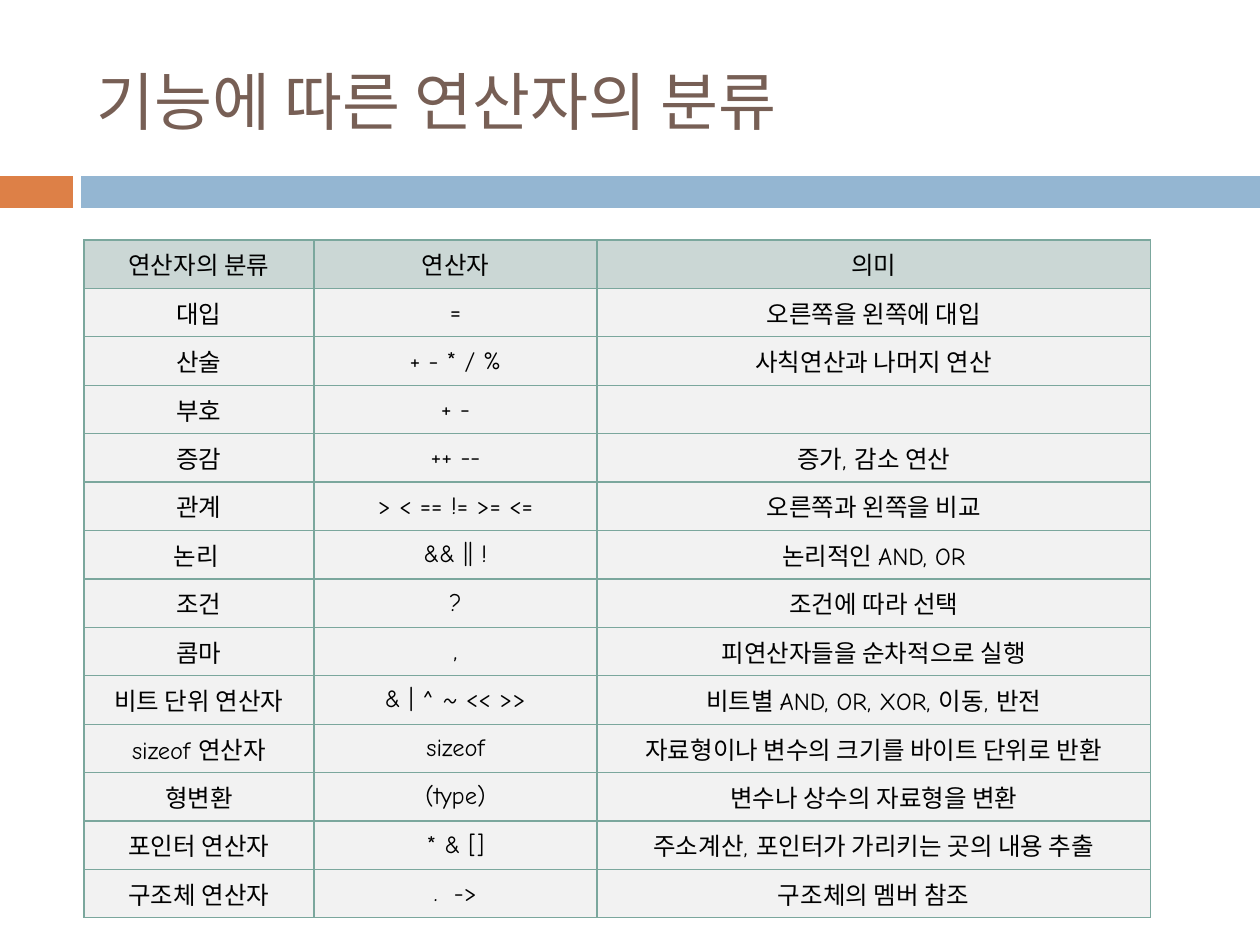
from lxml import etree
from pptx import Presentation
from pptx.dml.color import RGBColor
from pptx.enum import shapes, text
from pptx.oxml.ns import qn
from pptx.util import Emu, Pt

PX = 914400 // 126
TITLE = "기능에 따른 연산자의 분류"
BARS = [(0, 73, "DD8047"), (81, 1179, "94B6D2")]
COLS = [230, 283, 554]
LEFT, TOP, HIGH = 84, 240, 678
HEAD, BODY, EDGE = "CBD7D5", "F2F2F2", "7BA79D"
ROWS = [
    ("연산자의 분류", "연산자", "의미"),
    ("대입", "=", "오른쪽을 왼쪽에 대입"),
    ("산술", "+ - * / %", "사칙연산과 나머지 연산"),
    ("부호", "+ -", ""),
    ("증감", "++ --", "증가, 감소 연산"),
    ("관계", "> < == != >= <=", "오른쪽과 왼쪽을 비교"),
    ("논리 ", "&& || !", "논리적인 AND, OR"),
    ("조건", "?", "조건에 따라 선택"),
    ("콤마", ",", "피연산자들을 순차적으로 실행"),
    ("비트 단위 연산자", "& | ^ ~ << >>", "비트별 AND, OR, XOR, 이동, 반전"),
    ("sizeof 연산자", "sizeof", "자료형이나 변수의 크기를 바이트 단위로 반환"),
    ("형변환", "(type)", "변수나 상수의 자료형을 변환"),
    ("포인터 연산자", "* & []", "주소계산, 포인터가 가리키는 곳의 내용 추출"),
    ("구조체 연산자", ".  ->", "구조체의 멤버 참조"),
]


def px(n):
    return Emu(round(n * PX))


def color(code):
    return RGBColor.from_string(code)


def paint(fill, code):
    fill.solid()
    fill.fore_color.rgb = color(code)


def write(para, words, size, face, code):
    run = para.add_run()
    run.text = words
    run.font.size = Pt(size)
    run.font.name = face
    run.font.color.rgb = color(code)


def border(cell):
    props = cell._tc.get_or_add_tcPr()
    for spot, side in enumerate(("lnL", "lnR", "lnT", "lnB")):
        line = etree.Element(qn("a:" + side), w=str(Pt(0.79)))
        fill = etree.SubElement(line, qn("a:solidFill"))
        etree.SubElement(fill, qn("a:srgbClr"), val=EDGE)
        props.insert(spot, line)


def fill_cell(cell, words, back):
    paint(cell.fill, back)
    border(cell)
    cell.vertical_anchor = text.MSO_ANCHOR.MIDDLE
    para = cell.text_frame.paragraphs[0]
    para.alignment = text.PP_ALIGN.CENTER
    props = para._p.get_or_add_pPr()
    props.set("marL", str(px(48)))
    props.set("indent", str(px(-48)))
    if words:
        write(para, words, 14, "Comic Neue", "000000")
    else:
        etree.SubElement(para._p, qn("a:endParaRPr"), sz="1400")


def main():
    deck = Presentation()
    deck.slide_width, deck.slide_height = px(1260), px(945)
    slide = deck.slides.add_slide(deck.slide_layouts[6])

    for left, wide, code in BARS:
        bar = slide.shapes.add_shape(
            shapes.MSO_SHAPE.RECTANGLE, px(left), px(176), px(wide), px(32))
        bar.shadow.inherit = False
        paint(bar.fill, code)
        bar.line.fill.background()

    box = slide.shapes.add_textbox(px(84), px(32), px(1124), px(136))
    frame = box.text_frame
    frame.word_wrap = True
    frame.vertical_anchor = text.MSO_ANCHOR.MIDDLE
    write(frame.paragraphs[0], TITLE, 36, "Calibri", "775F55")

    table = slide.shapes.add_table(
        len(ROWS), len(COLS), px(LEFT), px(TOP), px(sum(COLS)), px(HIGH)).table
    table.first_row = table.horz_banding = False
    for col, wide in zip(table.columns, COLS):
        col.width = px(wide)
    for r, row in enumerate(ROWS):
        table.rows[r].height = px(HIGH / len(ROWS))
        for c, words in enumerate(row):
            fill_cell(table.cell(r, c), words, BODY if r else HEAD)

    deck.save("out.pptx")


if __name__ == "__main__":
    main()
